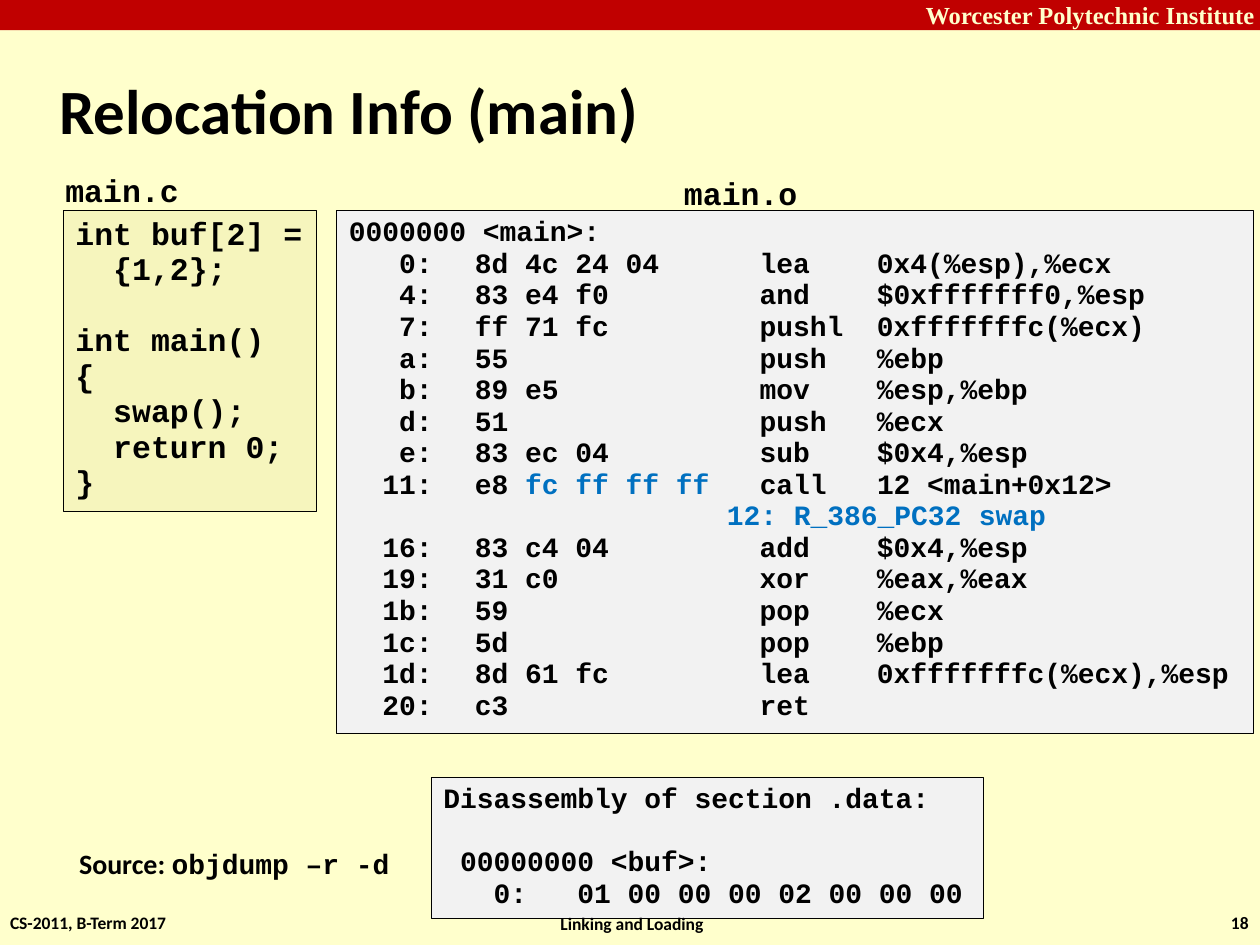
from pptx import Presentation
from pptx.dml.color import RGBColor
from pptx.enum.shapes import MSO_SHAPE
from pptx.enum.text import MSO_ANCHOR, MSO_AUTO_SIZE, PP_ALIGN
from pptx.oxml.ns import qn
from pptx.util import Inches, Pt
from lxml.etree import SubElement

HUES = {"page": "FFFFCC", "bar": "C00000", "ink": "000000", "mark": "0070C0",
        "code": "F6F5BD", "dump": "F2F2F2"}
SANS, MONO, SERIF = "Calibri", "Courier New", "Times New Roman"
LEFT, MID, RIGHT = PP_ALIGN.LEFT, PP_ALIGN.CENTER, PP_ALIGN.RIGHT
PAD = (0.1, 0.05, 0.1, 0.05)

# Content
TITLE = "Relocation Info (main)"
SCHOOL = "Worcester Polytechnic Institute"
MAIN_C = ["int buf[2] =", "  {1,2};", "", "int main()", "{", "  swap();", "  return 0;", "}"]
DATA = ["Disassembly of section .data:", "", " 00000000 <buf>:",
        "   0:   01 00 00 00 02 00 00 00"]
HEAD = "0000000 <main>:"
RELOC = "12: R_386_PC32\tswap"
MARKS = ("fc ff ff ff   ", RELOC)
STEPS = [  # address, bytes, operation, operands
    ("0", "8d 4c 24 04", "lea", "0x4(%esp),%ecx"),
    ("4", "83 e4 f0", "and", "$0xfffffff0,%esp"),
    ("7", "ff 71 fc", "pushl", "0xfffffffc(%ecx)"),
    ("a", "55", "push", "%ebp"),
    ("b", "89 e5", "mov", "%esp,%ebp"),
    ("d", "51", "push", "%ecx"),
    ("e", "83 ec 04", "sub", "$0x4,%esp"),
    ("11", "e8 fc ff ff ff", "call", "12 <main+0x12>"),
    ("16", "83 c4 04", "add", "$0x4,%esp"),
    ("19", "31 c0", "xor", "%eax,%eax"),
    ("1b", "59", "pop", "%ecx"),
    ("1c", "5d", "pop", "%ebp"),
    ("1d", "8d 61 fc", "lea", "0xfffffffc(%ecx),%esp"),
    ("20", "c3", "ret", ""),
]
LABELS = [("main.c", (4.2, 13.1, 11.1, 4)), ("main.o", (53.3, 13.3, 11.1, 4))]
FOOT = [  # text, place, alignment, anchor, left inset
    ("CS-2011, B-Term 2017", (0.8, 72.4, 12.8, 1.7), LEFT, MSO_ANCHOR.MIDDLE, 0),
    ("Linking and Loading", (46.1, 72.4, 7.7, 1.7), MID, MSO_ANCHOR.BOTTOM, 0.04),
    ("18", (97.4, 72.4, 1.7, 1.7), RIGHT, MSO_ANCHOR.MIDDLE, 0),
]

deck = Presentation()
deck.slide_width, deck.slide_height = Inches(10), Inches(7.5)
slide = deck.slides.add_slide(deck.slide_layouts[5])
UNIT = deck.slide_width // 100  # square grid, 100 columns by 75 rows


def rgb(name):
    return RGBColor.from_string(HUES[name])


def spots(place):
    return [round(n * UNIT) for n in place]


def cut(line):
    """Split a line into runs, with marked pieces in their own colour."""
    for mark in MARKS:
        if mark in line:
            pre, hit, post = line.partition(mark)
            return [(pre, "ink"), (hit, "mark"), (post, "ink")]
    return [(line, "ink")]


def write(shape, lines, size, face, hue=None, align=LEFT, top=MSO_ANCHOR.TOP,
          inset=PAD, gap=None, tabs=False):
    frame = shape.text_frame
    frame.word_wrap, frame.auto_size = False, MSO_AUTO_SIZE.NONE
    frame.vertical_anchor = top
    (frame.margin_left, frame.margin_top,
     frame.margin_right, frame.margin_bottom) = map(Inches, inset)
    for i, line in enumerate(lines):
        para = frame.add_paragraph() if i else frame.paragraphs[0]
        para.alignment = align
        if gap:
            para.line_spacing = gap
        if tabs:
            stops = SubElement(para._p.get_or_add_pPr(), qn("a:tabLst"))
            for n in range(1, 8):
                SubElement(stops, qn("a:tab"), pos=str(Inches(n)), algn="l")
        para.font.size, para.font.name, para.font.bold = Pt(size), face, True
        pieces = [(line, hue)] if hue else cut(line)
        for text, tone in pieces:
            if text:
                run = para.add_run()
                run.text = text
                font = run.font
                font.size, font.name, font.bold = Pt(size), face, True
                font.color.rgb = rgb(tone)


def panel(place, fill, edge=True):
    box = slide.shapes.add_shape(MSO_SHAPE.RECTANGLE, *spots(place))
    box.shadow.inherit = False
    box.fill.solid()
    box.fill.fore_color.rgb = rgb(fill)
    if edge:
        box.line.color.rgb = rgb("ink")
        box.line.width = Pt(0.25)
    else:
        box.line.fill.background()
    return box


def label(place):
    return slide.shapes.add_textbox(*spots(place))


# Page and top bar
slide.background.fill.solid()
slide.background.fill.fore_color.rgb = rgb("page")
write(panel((0, 0, 100, 2.4), "bar", False), [SCHOOL], 14, SERIF, "page",
      RIGHT, MSO_ANCHOR.MIDDLE, (0, 0, 0.04, 0))

# Title
title = slide.shapes.title
title.left, title.top, title.width, title.height = spots((3.7, 4.9, 95.3, 8.6))
write(title, [TITLE], 36, SANS, top=MSO_ANCHOR.MIDDLE, gap=0.82)
title.text_frame.word_wrap = True

# Code panels
dump = [f"{at:>4}:\t{code:<17}{op:<7}{args}".rstrip() for at, code, op, args in STEPS]
call = [step[2] for step in STEPS].index("call")
dump.insert(call + 1, "\t\t\t" + RELOC)
write(panel((5, 16.7, 20.1, 23.9), "code"), MAIN_C, 18, MONO, gap=0.94)
write(panel((34.2, 61.7, 43.8, 11.2), "dump"), DATA, 16, MONO, gap=0.94)
write(panel((26.7, 16.7, 72.8, 41.5), "dump"), [HEAD] + dump, 16, MONO,
      gap=0.94, tabs=True)

# File names
for text, place in LABELS:
    write(label(place), [text], 18, MONO)

# Source note
note = label((5.3, 66.8, 27, 3.7))
write(note, ["Source: "], 16, SANS, gap=0.98)
tool = note.text_frame.paragraphs[0].add_run()
tool.text = "objdump –r -d"
tool.font.size, tool.font.name, tool.font.bold = Pt(16), MONO, True
tool.font.color.rgb = rgb("ink")

# Footer
for text, place, align, top, left in FOOT:
    write(label(place), [text], 10, SANS, align=align, top=top, inset=(left, 0, 0, 0))

deck.save("out.pptx")
